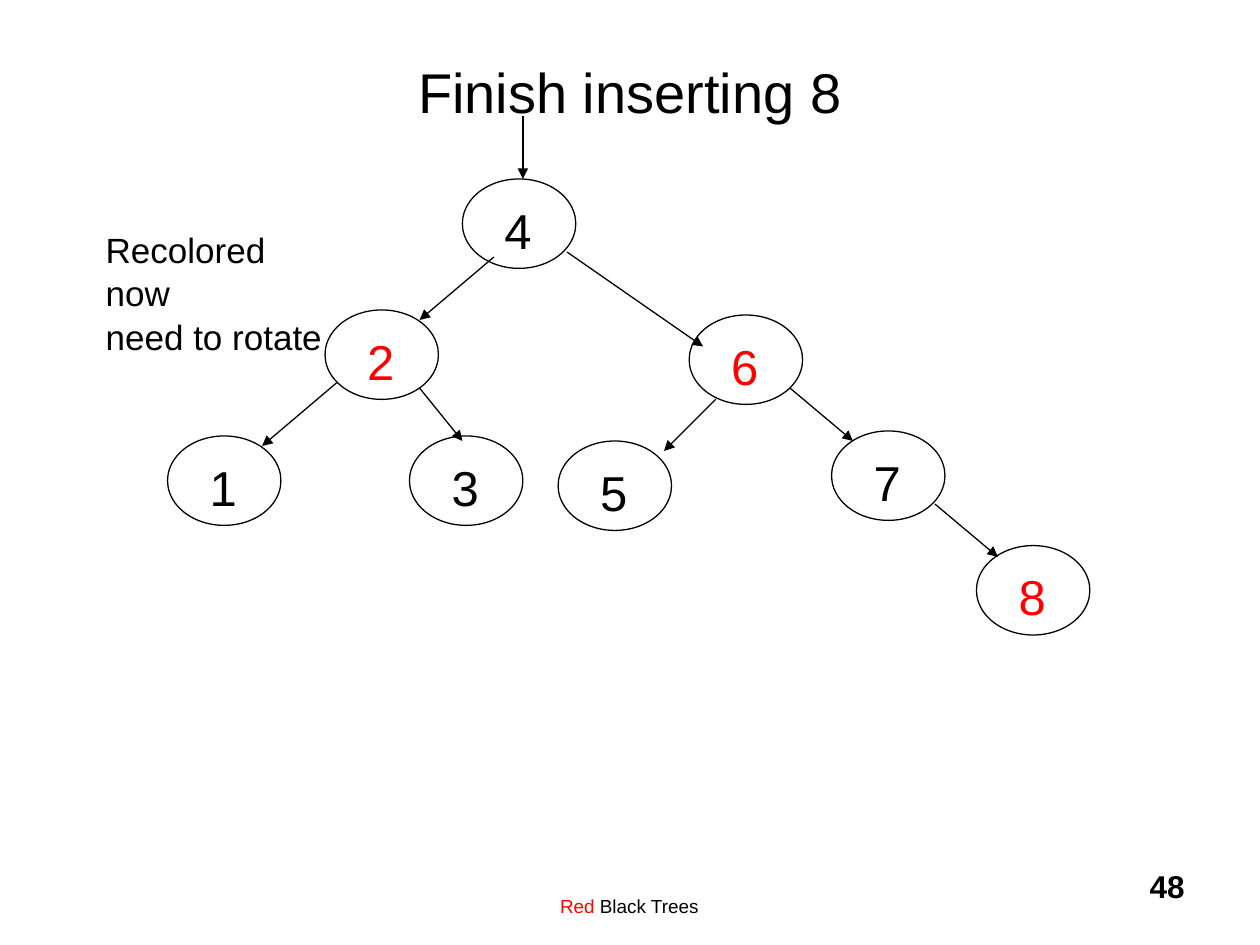
from typing import NamedTuple

from lxml.etree import SubElement
from pptx import Presentation
from pptx.dml.color import RGBColor
from pptx.enum.shapes import MSO_CONNECTOR, MSO_SHAPE
from pptx.enum.text import MSO_ANCHOR, PP_ALIGN
from pptx.oxml.ns import qn
from pptx.util import Inches, Pt

COLORS = {"black": "000000", "red": "FF0000"}
FONT = "Arial"
NODE_W, NODE_H = 0.9, 0.71
LABEL_W, LABEL_H = 0.41, 0.57


class Node(NamedTuple):
    key: str
    left: float
    top: float
    color: str = "black"


class Edge(NamedTuple):
    x1: float
    y1: float
    x2: float
    y2: float


class Label(NamedTuple):
    words: tuple  # (text, color) pairs
    left: float
    top: float
    width: float
    height: float
    size: float
    align: PP_ALIGN = PP_ALIGN.LEFT
    anchor: MSO_ANCHOR = MSO_ANCHOR.TOP
    bold: bool = False
    wrap: bool = True
    space: float = 1.0


NODES = (
    Node("4", 3.67, 1.42),
    Node("2", 2.58, 2.46, "red"),
    Node("3", 3.25, 3.46),
    Node("6", 5.47, 2.5, "red"),
    Node("5", 4.43, 3.5),
    Node("7", 6.6, 3.42),
    Node("1", 1.33, 3.46),
    Node("8", 7.75, 4.33, "red"),
)

EDGES = (
    Edge(4.15, 0.92, 4.15, 1.42),
    Edge(3.92, 2.04, 3.33, 2.54),
    Edge(4.5, 2, 5.58, 2.75),
    Edge(5.68, 3.17, 5.27, 3.58),
    Edge(6.27, 3.08, 6.77, 3.5),
    Edge(2.67, 3.04, 2.08, 3.54),
    Edge(3.33, 3.08, 3.67, 3.5),
    Edge(7.42, 4, 7.92, 4.42),
)

LABELS = (
    Label((("Recolored now\vneed to rotate", "black"),),
          0.74, 1.75, 2.05, 0.77, 20, wrap=False, space=1.04),
    Label((("Red", "red"), (" Black Trees", "black")),
          3.08, 6.83, 3.83, 0.5, 10.8, PP_ALIGN.CENTER, MSO_ANCHOR.BOTTOM),
    Label((("48", "black"),),
          7.42, 6.83, 2.08, 0.5, 18, PP_ALIGN.RIGHT, bold=True),
)


def paint(name: str) -> RGBColor:
    return RGBColor.from_string(COLORS[name])


def style(font, size: float, color: str, bold: bool = False) -> None:
    for key, value in {"name": FONT, "size": Pt(size), "bold": bold}.items():
        setattr(font, key, value)
    font.color.rgb = paint(color)


def set_line(line) -> None:
    line.color.rgb = paint("black")
    line.width = Pt(0.75)


def add_title(slide, text: str) -> None:
    title = slide.shapes.title
    place = {"left": 0.75, "top": 0.1, "width": 8.5, "height": 1.25}
    for key, value in place.items():
        setattr(title, key, Inches(value))
    frame = title.text_frame
    frame.text = text
    frame.vertical_anchor = MSO_ANCHOR.MIDDLE
    para = frame.paragraphs[0]
    para.alignment = PP_ALIGN.CENTER
    style(para.runs[0].font, 32, "black")


def add_label(shapes, label: Label) -> None:
    box = shapes.add_textbox(Inches(label.left), Inches(label.top),
                             Inches(label.width), Inches(label.height))
    frame = box.text_frame
    frame.word_wrap = label.wrap
    frame.vertical_anchor = label.anchor
    para = frame.paragraphs[0]
    para.alignment = label.align
    para.line_spacing = label.space
    for text, color in label.words:
        for i, piece in enumerate(text.split("\v")):
            if i:
                para.add_line_break()
            run = para.add_run()
            run.text = piece
            style(run.font, label.size, color, label.bold)


def add_node(shapes, node: Node) -> None:
    """Group an outlined ellipse with its key."""
    group = shapes.add_group_shape()
    oval = group.shapes.add_shape(
        MSO_SHAPE.OVAL, Inches(node.left), Inches(node.top),
        Inches(NODE_W), Inches(NODE_H))
    oval.shadow.inherit = False
    oval.fill.background()
    set_line(oval.line)
    add_label(group.shapes, Label(
        ((node.key, node.color),),
        node.left + (NODE_W - LABEL_W) / 2 - 0.01, node.top + 0.12,
        LABEL_W, LABEL_H, 28, wrap=False))


def add_edge(shapes, edge: Edge) -> None:
    """Draw an arrow from parent to child."""
    arrow = shapes.add_connector(MSO_CONNECTOR.STRAIGHT, *map(Inches, edge))
    set_line(arrow.line)
    props = arrow._element.spPr
    SubElement(props.find(qn("a:ln")), qn("a:tailEnd"), type="triangle")
    SubElement(props, qn("a:effectLst"))


def main() -> None:
    deck = Presentation()
    deck.slide_width, deck.slide_height = Inches(10), Inches(7.5)
    slide = deck.slides.add_slide(deck.slide_layouts[5])
    add_title(slide, "Finish inserting 8")
    for draw, items in ((add_node, NODES), (add_edge, EDGES),
                        (add_label, LABELS)):
        for item in items:
            draw(slide.shapes, item)
    deck.save("out.pptx")


if __name__ == "__main__":
    main()
